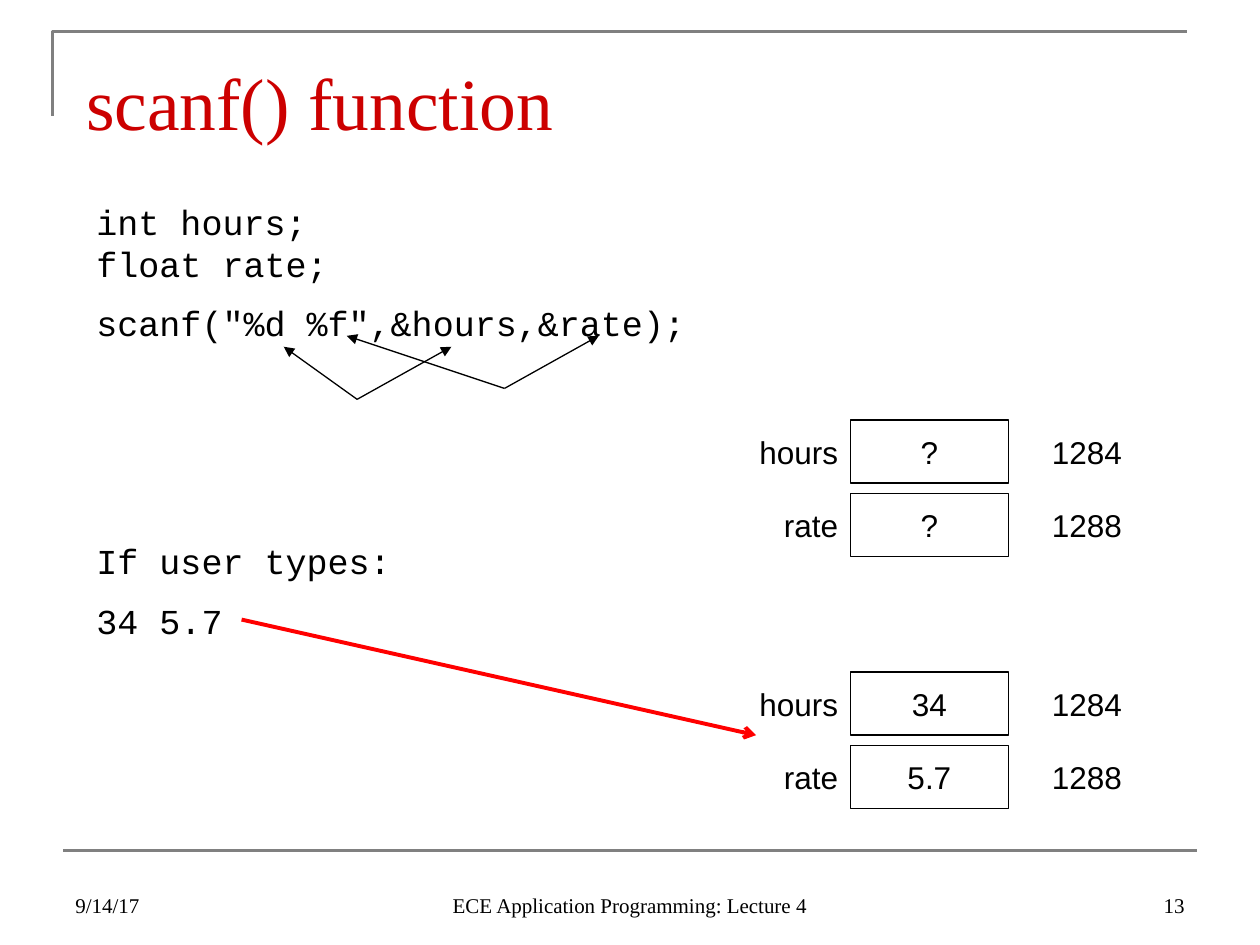
from dataclasses import dataclass

from lxml.etree import SubElement
from pptx import Presentation
from pptx.dml.color import RGBColor
from pptx.enum.shapes import MSO_CONNECTOR, MSO_SHAPE
from pptx.enum.text import MSO_ANCHOR as Anchor, MSO_AUTO_SIZE, PP_ALIGN as Align
from pptx.oxml.ns import qn
from pptx.util import Cm, Pt


@dataclass(frozen=True)
class Theme:
    black: str = "000000"
    gray: str = "808080"
    title_red: str = "CC0000"
    arrow_red: str = "FF0000"
    serif: str = "Times New Roman"
    sans: str = "Arial"
    mono: str = "Courier New"
    title_size: int = 42
    code_size: int = 20
    memory_size: int = 18
    footer_size: int = 12


@dataclass(frozen=True)
class Box:
    """A rectangle in centimetres."""
    left: float
    top: float
    width: float
    height: float

    def lengths(self):
        return Cm(self.left), Cm(self.top), Cm(self.width), Cm(self.height)


THEME = Theme()


def place(shape, box):
    shape.left, shape.top, shape.width, shape.height = box.lengths()


def write(shape, lines, *, font, size, color=THEME.black, align=Align.LEFT,
          anchor=Anchor.MIDDLE, inset_top=0.13, gaps=(), leading=None):
    """Fill a shape with paragraphs; gaps holds the points before each one after the first."""
    frame = shape.text_frame
    frame.word_wrap = True
    frame.auto_size = MSO_AUTO_SIZE.NONE
    frame.vertical_anchor = anchor
    frame.margin_top = Cm(inset_top)
    for index, line in enumerate(lines):
        para = frame.paragraphs[0] if index == 0 else frame.add_paragraph()
        para.text = line
        para.alignment = align
        para.space_before = Pt(gaps[index - 1] if index and gaps else 0)
        if leading:
            para.line_spacing = Pt(leading)
        for span in para.runs:
            span.font.name = font
            span.font.size = Pt(size)
            span.font.color.rgb = RGBColor.from_string(color)


def add_label(page, box, text, **style):
    write(page.shapes.add_textbox(*box.lengths()), [text], **style)


def set_line(shape, color, width):
    shape.line.color.rgb = RGBColor.from_string(color)
    shape.line.width = Pt(width)


def add_line(page, start, end, color=THEME.black, width=0.75, head=None):
    ends = [Cm(value) for value in (*start, *end)]
    line = page.shapes.add_connector(MSO_CONNECTOR.STRAIGHT, *ends)
    set_line(line, color, width)
    if head:
        SubElement(line.line._get_or_add_ln(), qn("a:tailEnd"), type=head)
    SubElement(line._element.spPr, qn("a:effectLst"))


def add_corner_rule(page, box):
    builder = page.shapes.build_freeform(Cm(box.left), Cm(box.top + box.height))
    builder.add_line_segments([(Cm(box.left), Cm(box.top)),
                               (Cm(box.left + box.width), Cm(box.top))], close=False)
    rule = builder.convert_to_shape()
    rule.fill.background()
    rule.shadow.inherit = False
    set_line(rule, THEME.gray, 1.5)


def add_title(page, box):
    title = page.shapes.title
    place(title, box)
    write(title, ["scanf() function"], font=THEME.serif, size=THEME.title_size,
          color=THEME.title_red, anchor=Anchor.TOP, inset_top=0.3)


def add_code(page, box):
    code = page.placeholders[1]
    place(code, box)
    lines = ["int hours;\vfloat rate;", 'scanf("%d %f",&hours,&rate);',
             "If user types:", "34 5.7"]
    write(code, lines, font=THEME.mono, size=THEME.code_size, anchor=Anchor.TOP,
          inset_top=0.23, gaps=(10, 112, 10), leading=24)
    for para in code.text_frame.paragraphs:
        props = para._p.get_or_add_pPr()
        props.set("marL", "0")
        props.set("indent", "0")
        SubElement(props, qn("a:buNone"))


def add_memory(page, box, rows):
    """Stack rows of variable name, boxed value and address."""
    column, height, pitch = box.width / 3, 1.27, 1.48
    style = dict(font=THEME.sans, size=THEME.memory_size)
    for index, (name, value, address) in enumerate(rows):
        name_box, value_box, address_box = (
            Box(box.left + column * step, box.top + pitch * index, column, height)
            for step in range(3))
        cell = page.shapes.add_shape(MSO_SHAPE.RECTANGLE, *value_box.lengths())
        cell.fill.background()
        cell.shadow.inherit = False
        set_line(cell, THEME.black, 0.75)
        write(cell, [value], align=Align.CENTER, **style)
        add_label(page, name_box, name, align=Align.RIGHT, **style)
        add_label(page, address_box, address, align=Align.CENTER, **style)


def add_match(page, box, elbow):
    """Join a format specifier and its argument by two arrows from a low elbow."""
    corner = (box.left + elbow, box.top + box.height)
    for tip in (box.left, box.left + box.width):
        add_line(page, corner, (tip, box.top), head="triangle")


def add_footer(page, box):
    add_line(page, (box.left, box.top), (box.left + box.width, box.top), THEME.gray, 1.5)
    parts = [("9/14/17", 0, 5.93, Align.LEFT),
             ("ECE Application Programming: Lecture 4", 7.41, 8.04, Align.CENTER),
             ("13", 16.93, 5.93, Align.RIGHT)]
    for text, offset, width, align in parts:
        add_label(page, Box(box.left + offset, box.top + 0.21, width, 1.27), text,
                  font=THEME.serif, size=THEME.footer_size, align=align,
                  anchor=Anchor.BOTTOM)


def main():
    deck = Presentation()
    deck.slide_width, deck.slide_height = Cm(25.4), Cm(19.05)
    page = deck.slides.add_slide(deck.slide_layouts[1])
    add_corner_rule(page, Box(1.06, 0.64, 22.86, 1.69))
    add_title(page, Box(1.48, 0.85, 21.59, 1.91))
    add_code(page, Box(1.69, 3.81, 12.7, 9.58))
    for top, hours, rate in ((8.47, "?", "?"), (13.55, "34", "5.7")):
        add_memory(page, Box(13.97, top, 9.53, 2.75),
                   [("hours", hours, "1284"), ("rate", rate, "1288")])
    add_match(page, Box(5.72, 6.99, 3.38, 1.06), elbow=1.48)
    add_match(page, Box(6.99, 6.77, 5.08, 1.06), elbow=3.18)
    add_line(page, (4.87, 12.49), (15.24, 14.82), THEME.arrow_red, 2.25, "arrow")
    add_footer(page, Box(1.27, 17.15, 22.86, 1.48))
    deck.save("out.pptx")


if __name__ == "__main__":
    main()
